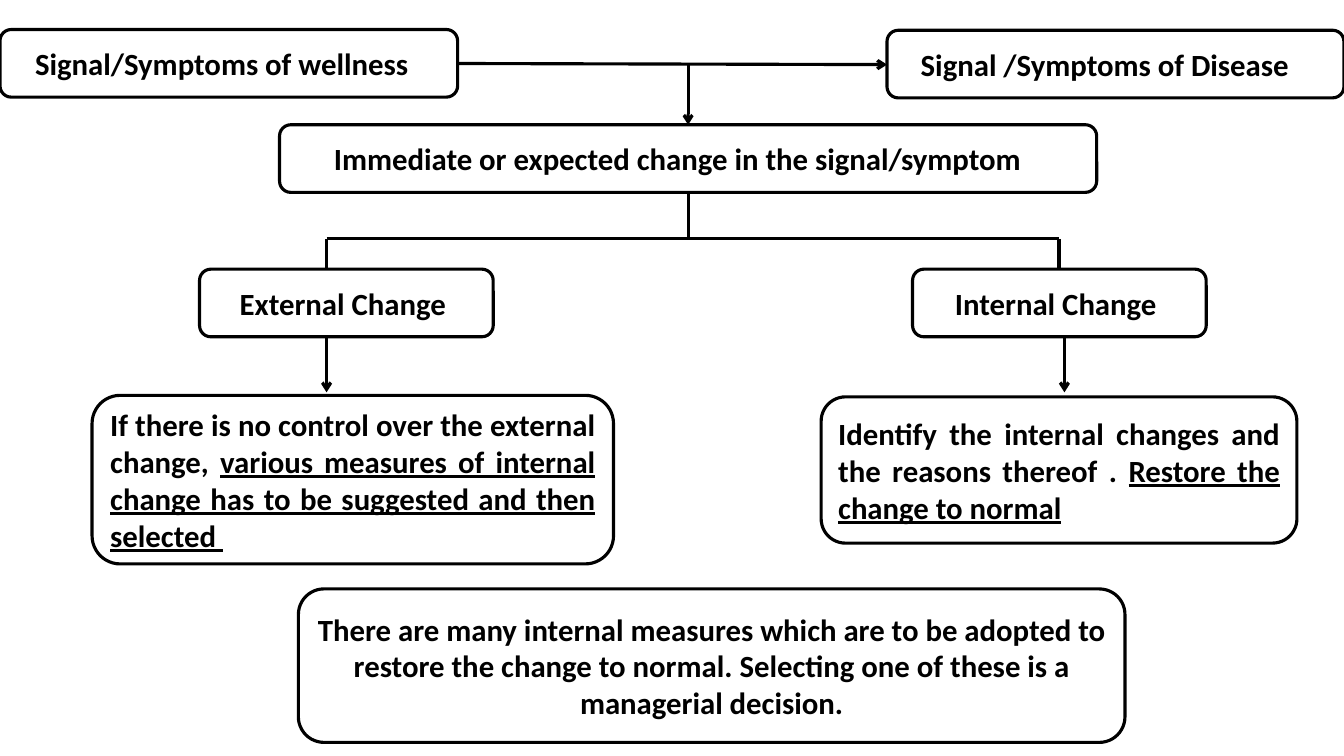
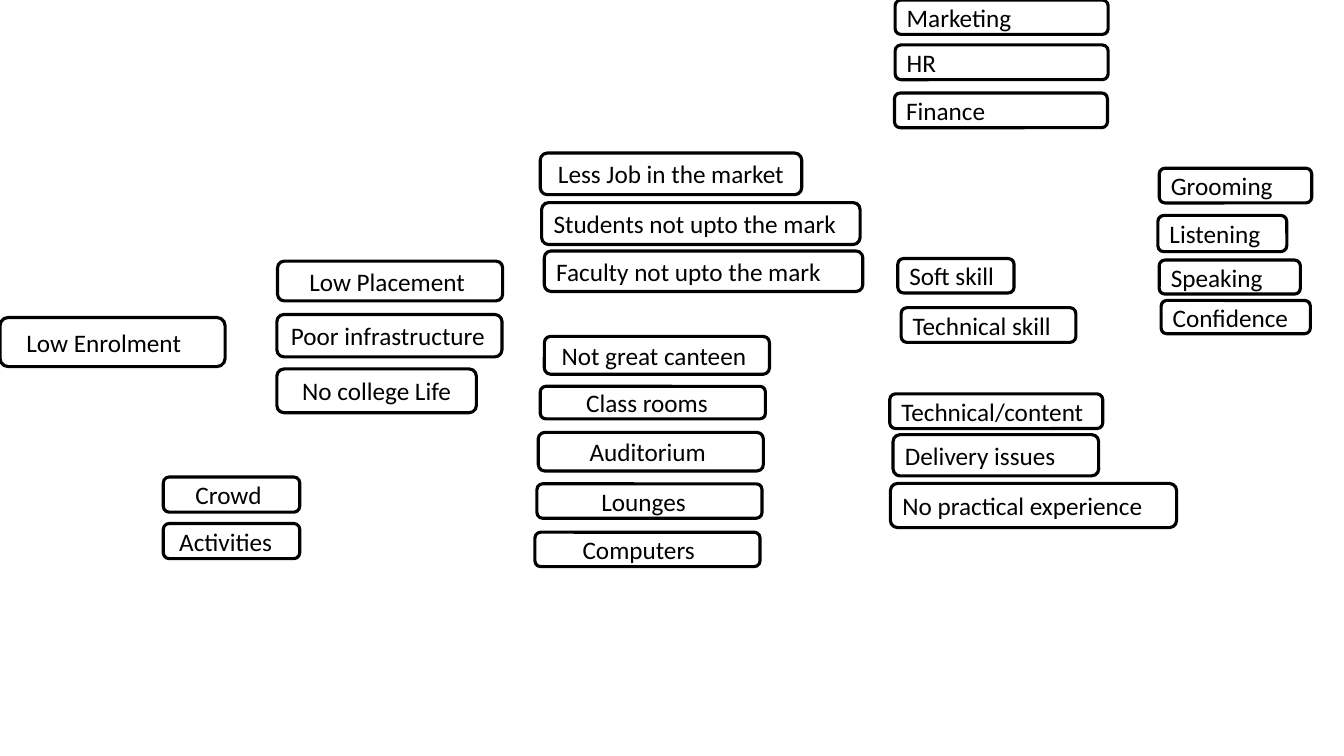
from lxml import etree
from pptx import Presentation
from pptx.dml.color import RGBColor
from pptx.enum.shapes import MSO_CONNECTOR, MSO_SHAPE
from pptx.enum.text import MSO_ANCHOR, PP_ALIGN
from pptx.oxml.ns import qn
from pptx.util import Inches, Pt

STRAIGHT = MSO_CONNECTOR.STRAIGHT
ROUNDED = MSO_SHAPE.ROUNDED_RECTANGLE
MIDDLE = MSO_ANCHOR.MIDDLE
LEFT, CENTER, JUSTIFY = PP_ALIGN.LEFT, PP_ALIGN.CENTER, PP_ALIGN.JUSTIFY

# Shared style
COLORS = {"ink": "000000", "paper": "FFFFFF"}
INK = RGBColor.from_string(COLORS["ink"])
PAPER = RGBColor.from_string(COLORS["paper"])
STROKE = Pt(2.25)
INSET = 7.2  # points, standard side margin of a box
SPACE = 0.23  # width of a space as a share of the text size
FLOW_TEXT = {"name": "Calibri", "size": Pt(22), "bold": True}
CAUSE_TEXT = {"name": "Calibri", "size": Pt(18), "bold": False}

deck = Presentation()
deck.slide_width, deck.slide_height = Inches(13.33), Inches(7.5)
COLUMN, ROW = deck.slide_width / 100, deck.slide_height / 100
blank = deck.slide_layouts[6]


def add_box(page, place, spans, style, align=CENTER, pad=0, fill=None):
    """Place is in columns and rows; pad widens the right margin, in spaces."""
    left, top, width, height = place
    box = page.shapes.add_shape(
        ROUNDED, int(left * COLUMN), int(top * ROW),
        int(width * COLUMN), int(height * ROW))
    box.shadow.inherit = False
    box.line.color.rgb = INK
    box.line.width = STROKE
    if fill is None:
        box.fill.background()
    else:
        box.fill.solid()
        box.fill.fore_color.rgb = fill
    frame = box.text_frame
    frame.word_wrap = True
    frame.vertical_anchor = MIDDLE
    frame.margin_right = Pt(INSET + pad * SPACE * style["size"].pt)
    para = frame.paragraphs[0]
    para.alignment = align
    for text, underlined in spans:
        span = para.add_run()
        span.text = text
        for name, value in style.items():
            setattr(span.font, name, value)
        span.font.color.rgb = INK
        if underlined:
            span.font.underline = True


def add_line(page, start, end, arrow=False):
    line = page.shapes.add_connector(
        STRAIGHT, int(start[0] * COLUMN), int(start[1] * ROW),
        int(end[0] * COLUMN), int(end[1] * ROW))
    line.line.color.rgb = INK
    line.line.width = STROKE
    if arrow:
        etree.SubElement(line.line._get_or_add_ln(), qn("a:tailEnd"), type="arrow")
    etree.SubElement(line._element.spPr, qn("a:effectLst"))


# Slide 1: flow from signal to decision
page = deck.slides.add_slide(blank)
LABEL_HEIGHT = 8.95
BRANCH_TOP, BRANCH_WIDTH = 35.6, 21.85

# Short labels: left, top, width, pad, text
flow_labels = [
    (0, 3.9, 34.05, 2, "Signal/Symptoms of wellness"),
    (66, 4, 34, 3, "Signal /Symptoms of Disease"),
    (20.8, 16.5, 60.8, 3, "Immediate or expected change in the signal/symptom"),
    (14.85, BRANCH_TOP, BRANCH_WIDTH, 1, "External Change"),
    (67.9, BRANCH_TOP, BRANCH_WIDTH, 1, "Internal Change"),
]
for left, top, width, pad, text in flow_labels:
    add_box(page, (left, top, width, LABEL_HEIGHT), [(text, False)],
            FLOW_TEXT, pad=pad, fill=PAPER)

# Explanations: place, alignment, spans
explanations = [
    ((6.85, 52.3, 38.8, 22.3), JUSTIFY, [
        ("If there is no control over the external change, ", False),
        ("various measures of internal change has to be suggested "
         "and then selected ", True)]),
    ((61.1, 52.5, 35.4, 19.35), JUSTIFY, [
        ("Identify the internal changes and the reasons thereof . ", False),
        ("Restore the change to normal", True)]),
    ((22.2, 77.9, 61.5, 20.3), CENTER, [
        ("There are many internal measures which are to be adopted to restore "
         "the change to normal. Selecting one of these is a managerial decision.",
         False)]),
]
for place, align, spans in explanations:
    add_box(page, place, spans, FLOW_TEXT, align=align, fill=PAPER)

# Lines: start, end, arrow
TRUNK, FORK, WEST, EAST = 51.2, 31.6, 24.3, 78.8
flow_lines = [
    ((34.05, 8.4), (66, 8.55), True),
    ((TRUNK, 8.45), (TRUNK, 16.5), True),
    ((TRUNK, 25.45), (TRUNK, FORK), False),
    ((WEST, FORK), (EAST, FORK), False),
    ((WEST, FORK), (WEST, BRANCH_TOP), False),
    ((EAST, FORK), (EAST, BRANCH_TOP), False),
    ((WEST, 44.65), (WEST, 51.9), True),
    ((79.2, 44.65), (79.2, 51.9), True),
]
for start, end, arrow in flow_lines:
    add_line(page, start, end, arrow)

# Slide 2: causes of low enrolment
page = deck.slides.add_slide(blank)
WIDE = 16.75  # common width of the centred causes
AREA = 15.85  # common width of the subject areas

# Centred causes: left, top, width, height, pad, text
centered_causes = [
    (0, 42, WIDE, 6.5, 3, "Low Enrolment"),
    (20.65, 34.55, WIDE, 5.25, 1, "Low Placement"),
    (20.6, 41.6, WIDE, 5.6, 0.5, "Poor infrastructure"),
    (20.6, 48.8, 14.85, 5.8, 0, "No college Life"),
    (12.15, 63.1, 10.15, 4.65, 1, "Crowd"),
    (12.15, 69.25, 10.15, 4.65, 2, "Activities"),
    (40.2, 20.25, 19.45, 5.5, 0, "Less Job in the market"),
    (40.5, 44.5, WIDE, 5, 1, "Not great canteen"),
    (40.2, 51.1, WIDE, 4.3, 2, "Class rooms"),
    (40.05, 57.2, WIDE, 5.1, 1, "Auditorium"),
    (39.95, 64, WIDE, 4.55, 2, "Lounges"),
    (39.8, 70.4, WIDE, 4.55, 3, "Computers"),
]
for left, top, width, height, pad, text in centered_causes:
    add_box(page, (left, top, width, height), [(text, False)],
            CAUSE_TEXT, pad=pad)

# Left-aligned causes: left, top, width, height, text
left_causes = [
    (40.3, 26.8, 23.7, 5.55, "Students not upto the mark"),
    (40.5, 33.2, 23.7, 5.35, "Faculty not upto the mark"),
    (66.6, 0, AREA, 4.55, "Marketing"),
    (66.6, 5.95, AREA, 4.6, "HR"),
    (66.55, 12.3, AREA, 4.6, "Finance"),
    (66.8, 34.2, 8.65, 4.55, "Soft skill"),
    (67.05, 40.7, 13, 4.6, "Technical skill"),
    (66.2, 52.1, AREA, 4.6, "Technical/content"),
    (66.45, 57.5, 15.3, 5.45, "Delivery issues"),
    (66.25, 63.95, 21.3, 5.85, "No practical experience"),
    (86.25, 22.25, 11.35, 4.6, "Grooming"),
    (86.15, 28.5, 9.6, 4.8, "Listening"),
    (86.25, 34.4, 10.5, 4.5, "Speaking"),
    (86.4, 39.75, 11.1, 4.4, "Confidence"),
]
for left, top, width, height, text in left_causes:
    add_box(page, (left, top, width, height), [(text, False)],
            CAUSE_TEXT, align=LEFT)

deck.save("out.pptx")
